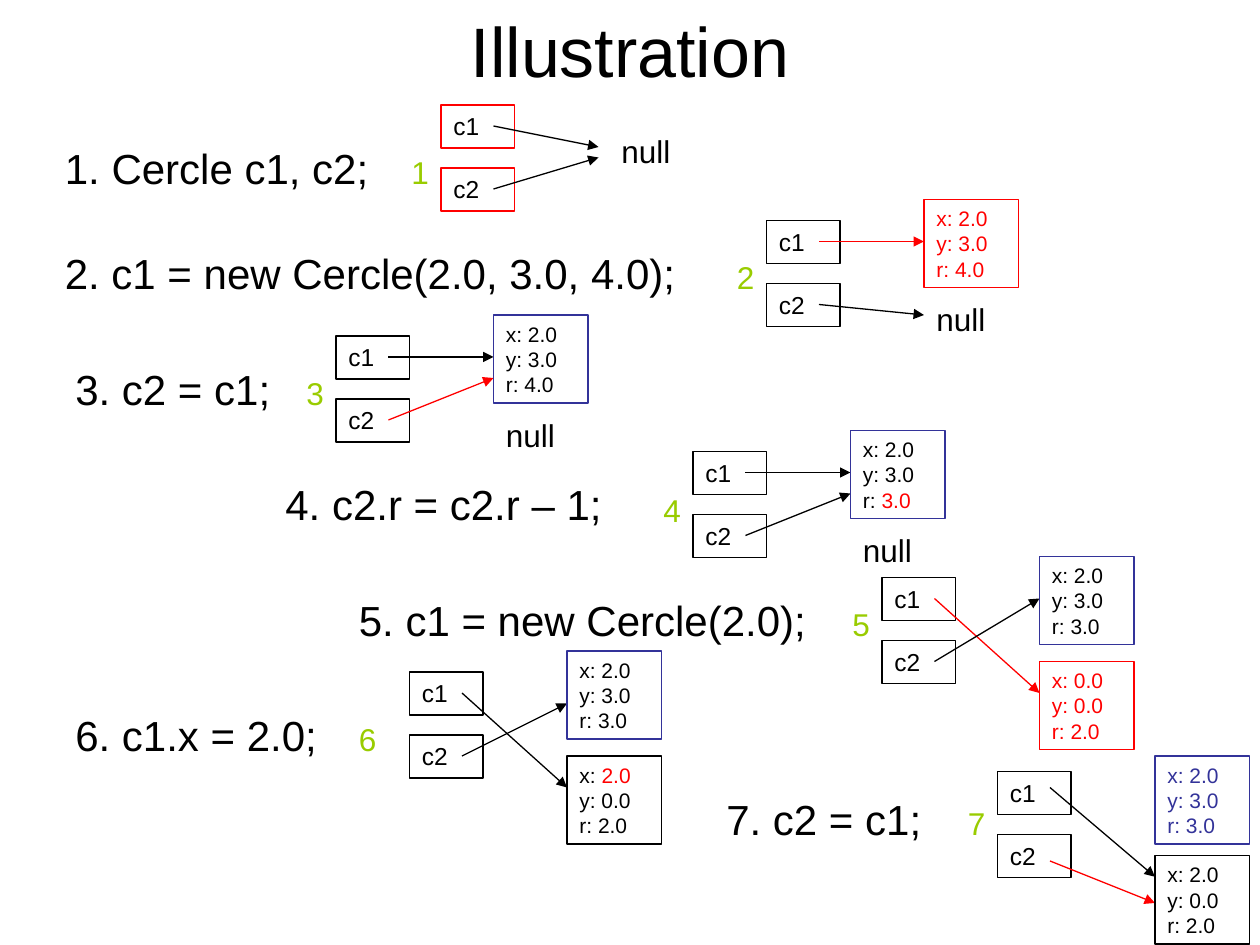
from pptx import Presentation
from pptx.dml.color import RGBColor
from pptx.enum.shapes import MSO_CONNECTOR, MSO_SHAPE
from pptx.enum.text import MSO_ANCHOR, MSO_AUTO_SIZE, PP_ALIGN
from pptx.oxml.ns import qn
from pptx.util import Inches, Pt
from lxml import etree

BLACK = RGBColor(0x00, 0x00, 0x00)
RED = RGBColor(0xFF, 0x00, 0x00)
BLUE = RGBColor(0x33, 0x33, 0x99)
GREEN = RGBColor(0x99, 0xCC, 0x00)
FONT = "Arial"
STRAIGHT = MSO_CONNECTOR.STRAIGHT
RECTANGLE = MSO_SHAPE.RECTANGLE
MIDDLE, TOP = MSO_ANCHOR.MIDDLE, MSO_ANCHOR.TOP
LEFT, CENTER = PP_ALIGN.LEFT, PP_ALIGN.CENTER
NO_AUTOSIZE = MSO_AUTO_SIZE.NONE

# The slide is a grid of 120 columns by 90 rows
WIDTH, HEIGHT = Inches(10), Inches(7.5)
UNIT = WIDTH / 120
VARIABLE_SIZE = (7, 4.1)
OBJECT_SIZE = (9, 8.4)
NULL_SIZE = (10, 4.8)
NUMBER_SIZE = (4, 4.8)
STATEMENT_HEIGHT = 6
ARROW_START, OBJECT_COLUMN = 5, 15
VARIABLE_ROWS = {"c1": 0, "c2": 6}

TITLE = "Illustration"

# Statement text, column, row, width
STATEMENTS = [
    ("1. Cercle c1, c2;", 5, 13, 31.3),
    ("2. c1 = new Cercle(2.0, 3.0, 4.0);", 5, 23, 60.5),
    ("3. c2 = c1;", 6, 34, 20.9),
    ("4. c2.r = c2.r – 1;", 26, 45, 32.5),
    ("5. c1 = new Cercle(2.0);", 33, 56, 45),
    ("6. c1.x = 2.0;", 6, 67, 25.4),
    ("7. c2 = c1;", 68, 75, 20.9),
]

# Places inside a step are counted from the corner of its c1 box.
# arrows: (start row, end row, colour)
# objects: (row, line colour, (x, y, r), (colour of x, of y, of r))
PLAIN, NEW = (BLACK,) * 3, (RED,) * 3
STEPS = [
    dict(number="1", origin=(42, 10), number_at=(-4, 4), variable_line=RED,
         arrows=[(2, 4, BLACK), (8, 5, BLACK)], null_at=(16, 2), objects=[]),
    dict(number="2", origin=(73, 21), number_at=(-4, 3), variable_line=BLACK,
         arrows=[(2, 2, RED), (8, 9, BLACK)], null_at=(15, 7),
         objects=[(-2, RED, ("2.0", "3.0", "4.0"), NEW)]),
    dict(number="3", origin=(32, 32), number_at=(-4, 3), variable_line=BLACK,
         arrows=[(2, 2, BLACK), (8, 4, RED)], null_at=(15, 7),
         objects=[(-2, BLUE, ("2.0", "3.0", "4.0"), PLAIN)]),
    dict(number="4", origin=(66, 43), number_at=(-4, 3.2), variable_line=BLACK,
         arrows=[(2, 2, BLACK), (8, 4, BLACK)], null_at=(15, 7),
         objects=[(-2, BLUE, ("2.0", "3.0", "3.0"), (BLACK, BLACK, RED))]),
    dict(number="5", origin=(84, 55), number_at=(-4, 2), variable_line=BLACK,
         arrows=[(2, 11, RED), (8, 2, BLACK)], null_at=None,
         objects=[(-2, BLUE, ("2.0", "3.0", "3.0"), PLAIN),
                  (8, RED, ("0.0", "0.0", "2.0"), NEW)]),
    dict(number="6", origin=(39, 64), number_at=(-6, 4), variable_line=BLACK,
         arrows=[(2, 11, BLACK), (8, 3, BLACK)], null_at=None,
         objects=[(-2, BLUE, ("2.0", "3.0", "3.0"), PLAIN),
                  (8, BLACK, ("2.0", "0.0", "2.0"), (RED, BLACK, BLACK))]),
    dict(number="7", origin=(95, 73.5), number_at=(-4, 2.5), variable_line=BLACK,
         arrows=[(1.5, 10, BLACK), (8.5, 12.5, RED)], null_at=None,
         objects=[(-1.5, BLUE, ("2.0", "3.0", "3.0"), (BLUE,) * 3),
                  (8, BLACK, ("2.0", "0.0", "2.0"), PLAIN)]),
]


def grid(*cells):
    return [round(cell * UNIT) for cell in cells]


def write(shape, lines, size, wrap=True, anchor=TOP, align=LEFT):
    """Each line is a list of (text, colour) runs."""
    frame = shape.text_frame
    layout = dict(word_wrap=wrap, auto_size=NO_AUTOSIZE, vertical_anchor=anchor,
                  margin_left=Inches(0.1), margin_right=Inches(0.1),
                  margin_top=Inches(0.05), margin_bottom=Inches(0.05))
    for name, value in layout.items():
        setattr(frame, name, value)
    for index, line in enumerate(lines):
        paragraph = frame.add_paragraph() if index else frame.paragraphs[0]
        paragraph.alignment = align
        for text, color in line:
            run = paragraph.add_run()
            run.text = text
            for name, value in dict(name=FONT, size=Pt(size)).items():
                setattr(run.font, name, value)
            run.font.color.rgb = color


def add_label(shapes, text, place, size, color=BLACK, **options):
    label = shapes.add_textbox(*grid(*place))
    write(label, [[(text, color)]], size, **options)


def add_box(shapes, lines, place, size, line_color):
    box = shapes.add_shape(RECTANGLE, *grid(*place))
    box.shadow.inherit = False
    box.fill.background()
    box.line.color.rgb = line_color
    box.line.width = Pt(0.75)
    write(box, lines, size)


def add_arrow(shapes, start, end, color):
    arrow = shapes.add_connector(STRAIGHT, *grid(*start, *end))
    arrow.line.color.rgb = color
    arrow.line.width = Pt(0.75)
    etree.SubElement(arrow.line._get_or_add_ln(), qn("a:tailEnd"), type="triangle")
    etree.SubElement(arrow._element.spPr, qn("a:effectLst"))


def add_step(slide, step):
    shapes = slide.shapes.add_group_shape().shapes
    column, row = step["origin"]

    def at(across, down):
        return column + across, row + down

    # Variables and the null reference
    for name, down in VARIABLE_ROWS.items():
        add_box(shapes, [[(name, BLACK)]], (*at(0, down), *VARIABLE_SIZE), 14,
                step["variable_line"])
    if step["null_at"]:
        add_label(shapes, "null", (*at(*step["null_at"]), *NULL_SIZE), 18)

    # References
    for start_row, end_row, color in step["arrows"]:
        add_arrow(shapes, at(ARROW_START, start_row), at(OBJECT_COLUMN, end_row), color)

    # Objects: a field name has its value's colour unless only that value changed
    for down, line_color, values, colors in step["objects"]:
        name_color = colors[0] if len(set(colors)) == 1 else BLACK
        lines = [[(f"{field}: ", name_color), (value, color)]
                 for field, value, color in zip("xyr", values, colors)]
        add_box(shapes, lines, (*at(OBJECT_COLUMN, down), *OBJECT_SIZE), 12, line_color)

    add_label(shapes, step["number"], (*at(*step["number_at"]), *NUMBER_SIZE), 18, GREEN)


def main():
    presentation = Presentation()
    presentation.slide_width, presentation.slide_height = WIDTH, HEIGHT
    slide = presentation.slides.add_slide(presentation.slide_layouts[6])

    add_label(slide.shapes, TITLE, (6, 0, 108, 9.4), 40, anchor=MIDDLE, align=CENTER)
    for step in STEPS:
        add_step(slide, step)
    for text, column, row, width in STATEMENTS:
        add_label(slide.shapes, text, (column, row, width, STATEMENT_HEIGHT), 24, wrap=False)

    presentation.save("out.pptx")


if __name__ == "__main__":
    main()
